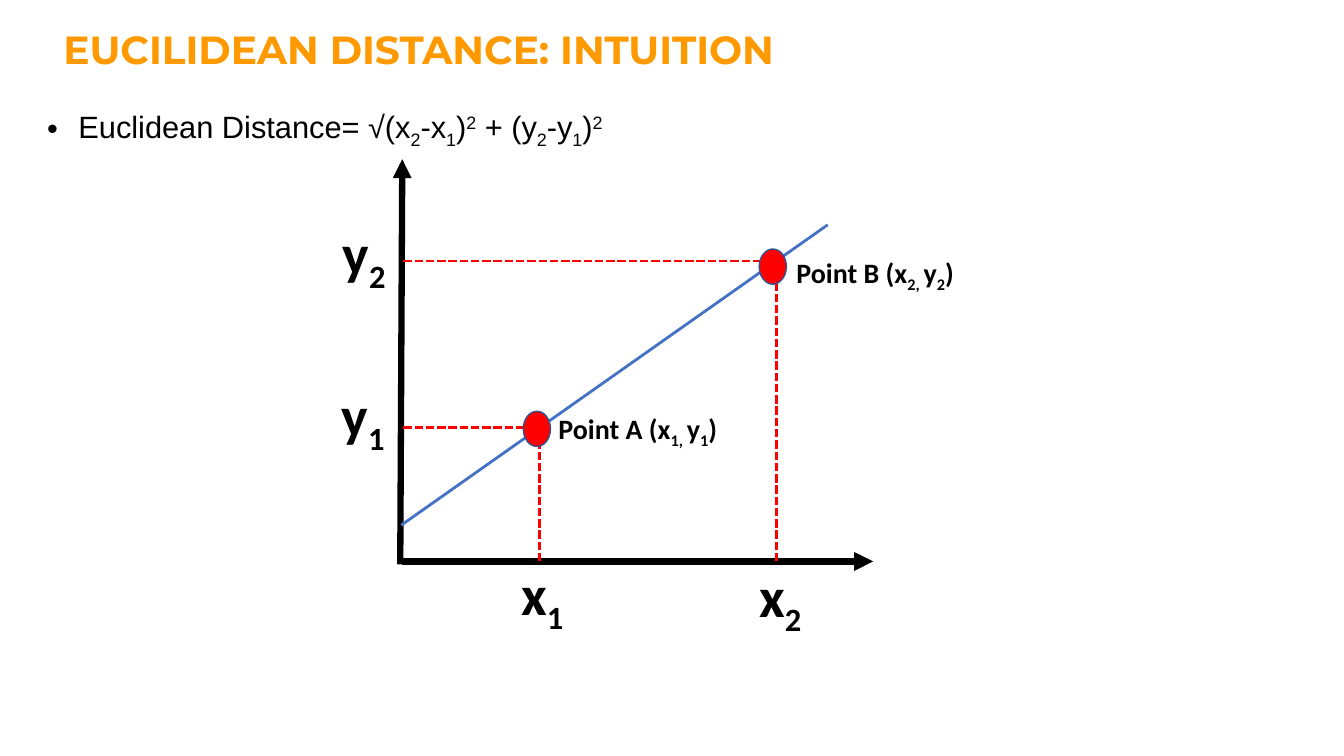
import pptx
import pptx.dml.color
import pptx.enum.dml
import pptx.enum.shapes
import pptx.enum.text
import pptx.oxml.ns
import pptx.util
from lxml import etree

Inches = pptx.util.Inches
qn = pptx.oxml.ns.qn

COLORS = {
    "title": "FF9900",
    "ink": "000000",
    "mark": "FF0000",
    "mark_edge": "325491",
    "trend": "4472C4",
}
BASELINES = {"_": "-25000", "^": "30000"}

# Places are inches from the top left corner of the plot
POINTS = [
    {"name": "A", "index": "1", "guide": (1.38, 2.66), "marker": (1.22, 2.5),
     "caption": (1.47, 2.45), "x_label": (1.1, 3.92), "y_label": (-0.68, 2.15)},
    {"name": "B", "index": "2", "guide": (3.73, 1.01), "marker": (3.56, 0.89),
     "caption": (3.83, 0.91), "x_label": (3.46, 3.94), "y_label": (-0.67, 0.54)},
]


def rgb(name):
    return pptx.dml.color.RGBColor.from_string(COLORS[name])


def add_text(slide, box, text, size, font="Calibri", color="ink", bold=False, bullet=False):
    """Pieces are parted by |; a leading _ lowers a piece and ^ raises it."""
    frame = slide.shapes.add_textbox(*map(Inches, box)).text_frame
    frame.word_wrap = True
    frame.vertical_anchor = pptx.enum.text.MSO_ANCHOR.TOP
    paragraph = frame.paragraphs[0]
    if bullet:
        properties = paragraph._p.get_or_add_pPr()
        properties.set("marL", str(Inches(0.31)))
        properties.set("indent", str(-Inches(0.31)))
        etree.SubElement(properties, qn("a:buFont")).set("typeface", "Arial")
        etree.SubElement(properties, qn("a:buChar")).set("char", "•")
    for piece in text.split("|"):
        run = paragraph.add_run()
        run.text = piece.lstrip("_^")
        run.font.size = pptx.util.Pt(size)
        run.font.name = font
        run.font.bold = bold
        run.font.color.rgb = rgb(color)
        if piece[0] in BASELINES:
            run.font._element.set("baseline", BASELINES[piece[0]])


def add_line(slide, start, end, color, width, dashed=False, arrow=False):
    line = slide.shapes.add_connector(
        pptx.enum.shapes.MSO_CONNECTOR.STRAIGHT, *map(Inches, start + end))
    line.line.color.rgb = rgb(color)
    line.line.width = pptx.util.Pt(width)
    if dashed:
        line.line.dash_style = pptx.enum.dml.MSO_LINE.SQUARE_DOT
    if arrow:
        etree.SubElement(line.line._get_or_add_ln(), qn("a:tailEnd")).set("type", "triangle")
    etree.SubElement(line._element.spPr, qn("a:effectLst"))


def add_marker(slide, left, top):
    marker = slide.shapes.add_shape(
        pptx.enum.shapes.MSO_SHAPE.OVAL, *map(Inches, (left, top, 0.27, 0.35)))
    marker.shadow.inherit = False
    marker.fill.solid()
    marker.fill.fore_color.rgb = rgb("mark")
    marker.line.color.rgb = rgb("mark_edge")
    marker.line.width = pptx.util.Pt(1)


def add_heading(slide, left, top, width):
    add_text(slide, (left + 0.16, top, width - 1.27, 0.77), "EUCILIDEAN DISTANCE: INTUITION",
             28, font="Montserrat", color="title", bold=True)
    add_text(slide, (left, top + 0.82, width, 0.5),
             "Euclidean Distance= √(x|_2|-x|_1|)|^2| + (y|_2|-y|_1|)|^2",
             22, font="Arial", bullet=True)


def add_plot(slide, left, top):
    def at(x, y):
        return left + x, top + y

    # Axes
    axis_y = 3.99
    add_line(slide, at(0.02, axis_y), at(4.69, axis_y), "ink", 4.5, arrow=True)
    add_line(slide, at(0, 4.02), at(0.02, 0), "ink", 4.5, arrow=True)

    # Guides from the points to the axes, and the line through the points
    for point in POINTS:
        x, y = point["guide"]
        add_line(slide, at(0.03, y), at(x, y), "mark", 2, dashed=True)
        add_line(slide, at(x, axis_y), at(x, y), "mark", 2, dashed=True)
    add_line(slide, at(0.01, 3.63), at(4.24, 0.65), "trend", 2)

    # Labels and markers
    for point in POINTS:
        index = point["index"]
        for letter in "yx":
            add_text(slide, at(*point[letter + "_label"]) + (0.78, 0.77),
                     f"{letter}|_{index}", 40, bold=True)
        add_text(slide, at(*point["caption"]) + (2.3, 0.44),
                 f"Point {point['name']} (x|_{index}, |y|_{index}|)", 20, bold=True)
        add_marker(slide, *at(*point["marker"]))


def main():
    deck = pptx.Presentation()
    deck.slide_width = Inches(13.33)
    deck.slide_height = Inches(7.5)
    slide = deck.slides.add_slide(deck.slide_layouts[6])
    add_heading(slide, 0.37, 0.2, 12.67)
    add_plot(slide, 3.97, 1.58)
    deck.save("out.pptx")


if __name__ == "__main__":
    main()
